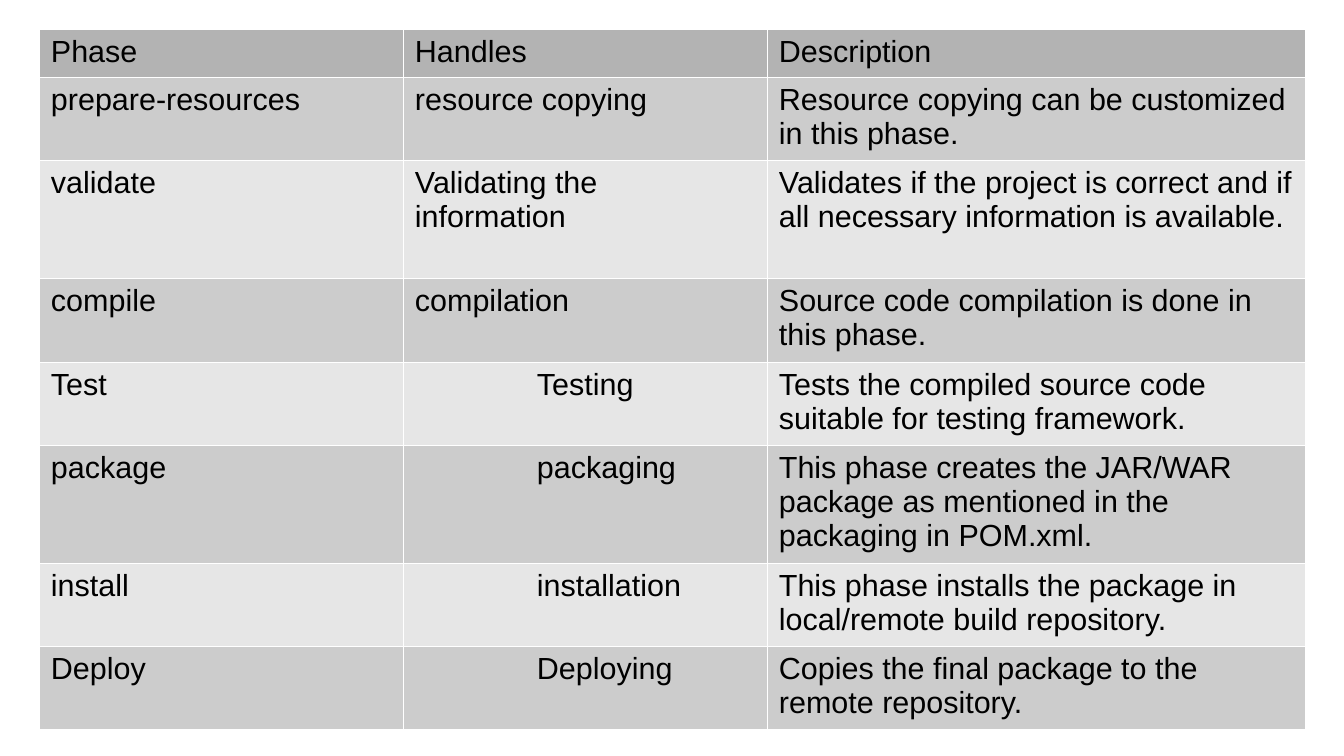
"""Build a slide with a table of build lifecycle phases."""
from lxml.etree import SubElement
from pptx import Presentation
from pptx.dml.color import RGBColor
from pptx.oxml.ns import qn
from pptx.util import Pt

PX = 7495
BLACK = RGBColor(0x00, 0x00, 0x00)
HEADER_GREY = RGBColor(0xB3, 0xB3, 0xB3)
DARK_GREY = RGBColor(0xCC, 0xCC, 0xCC)
LIGHT_GREY = RGBColor(0xE6, 0xE6, 0xE6)
WHITE = RGBColor(0xFF, 0xFF, 0xFF)
COLUMN_WIDTHS = [364, 364, 538]

PHASES = [
    (48, 0, "Phase", "Handles", "Description"),
    (83, 0, "prepare-resources", "resource copying",
     "Resource copying can be customized in this phase."),
    (118, 0, "validate", "Validating the information",
     "Validates if the project is correct and if all necessary information is available."),
    (84, 0, "compile", "compilation",
     "Source code compilation is done in this phase."),
    (83, 122, "Test", "Testing",
     "Tests the compiled source code suitable for testing framework."),
    (118, 122, "package", "packaging",
     "This phase creates the JAR/WAR package as mentioned in the packaging in POM.xml."),
    (83, 122, "install", "installation",
     "This phase installs the package in local/remote build repository."),
    (83, 122, "Deploy", "Deploying",
     "Copies the final package to the remote repository."),
]


def write_cell(cell, text, fill=LIGHT_GREY, color=BLACK, size=18, font="Arial", indent=0):
    cell.margin_left = cell.margin_right = 12 * PX
    cell.margin_top = cell.margin_bottom = 6 * PX
    properties = cell._tc.get_or_add_tcPr()
    for side in ("a:lnL", "a:lnR", "a:lnT", "a:lnB"):
        border = SubElement(properties, qn(side), w=str(Pt(0.06)))
        border_fill = SubElement(border, qn("a:solidFill"))
        SubElement(border_fill, qn("a:srgbClr"), val=str(WHITE))
    cell.fill.solid()
    cell.fill.fore_color.rgb = fill
    paragraph = cell.text_frame.paragraphs[0]
    if indent:
        paragraph._p.get_or_add_pPr().set("marL", str(indent * PX))
    run = paragraph.add_run()
    run.text = text
    run.font.name = font
    run.font.size = Pt(size)
    run.font.bold = False
    run.font.color.rgb = color


deck = Presentation()
deck.slide_width = 1344 * PX
deck.slide_height = 756 * PX
slide = deck.slides.add_slide(deck.slide_layouts[6])

table_height = sum(phase[0] for phase in PHASES)
phase_table = slide.shapes.add_table(
    len(PHASES), len(COLUMN_WIDTHS),
    39 * PX, 29 * PX, sum(COLUMN_WIDTHS) * PX, table_height * PX,
).table
phase_table.first_row = False
phase_table.horz_banding = False

for column, width in zip(phase_table.columns, COLUMN_WIDTHS):
    column.width = width * PX

for row, (height, handles_indent, *texts) in enumerate(PHASES):
    phase_table.rows[row].height = height * PX
    if row == 0:
        row_fill = HEADER_GREY
    else:
        row_fill = DARK_GREY if row % 2 else LIGHT_GREY
    for column, text in enumerate(texts):
        write_cell(phase_table.cell(row, column), text, fill=row_fill,
                   indent=handles_indent if column == 1 else 0)

deck.save("out.pptx")
